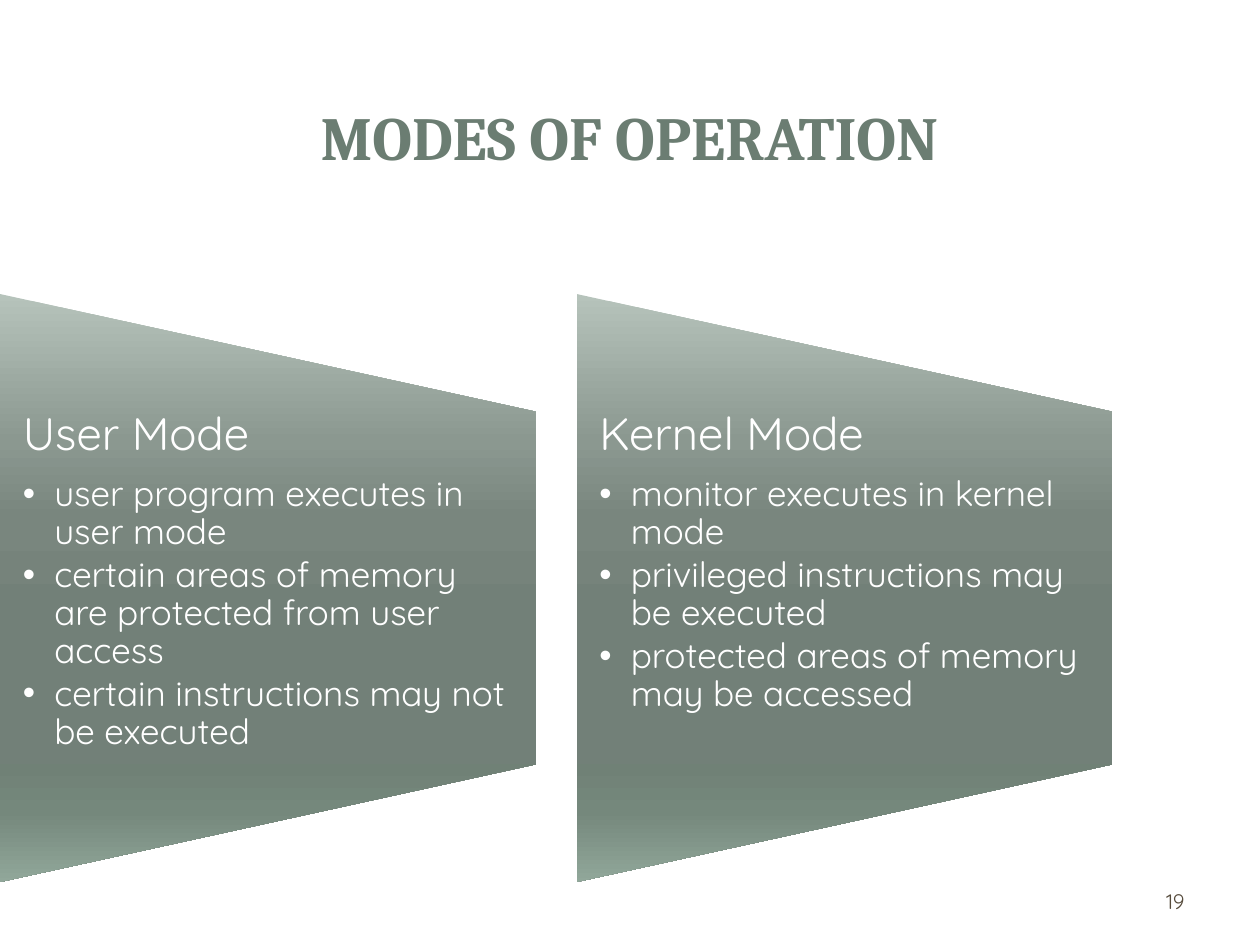
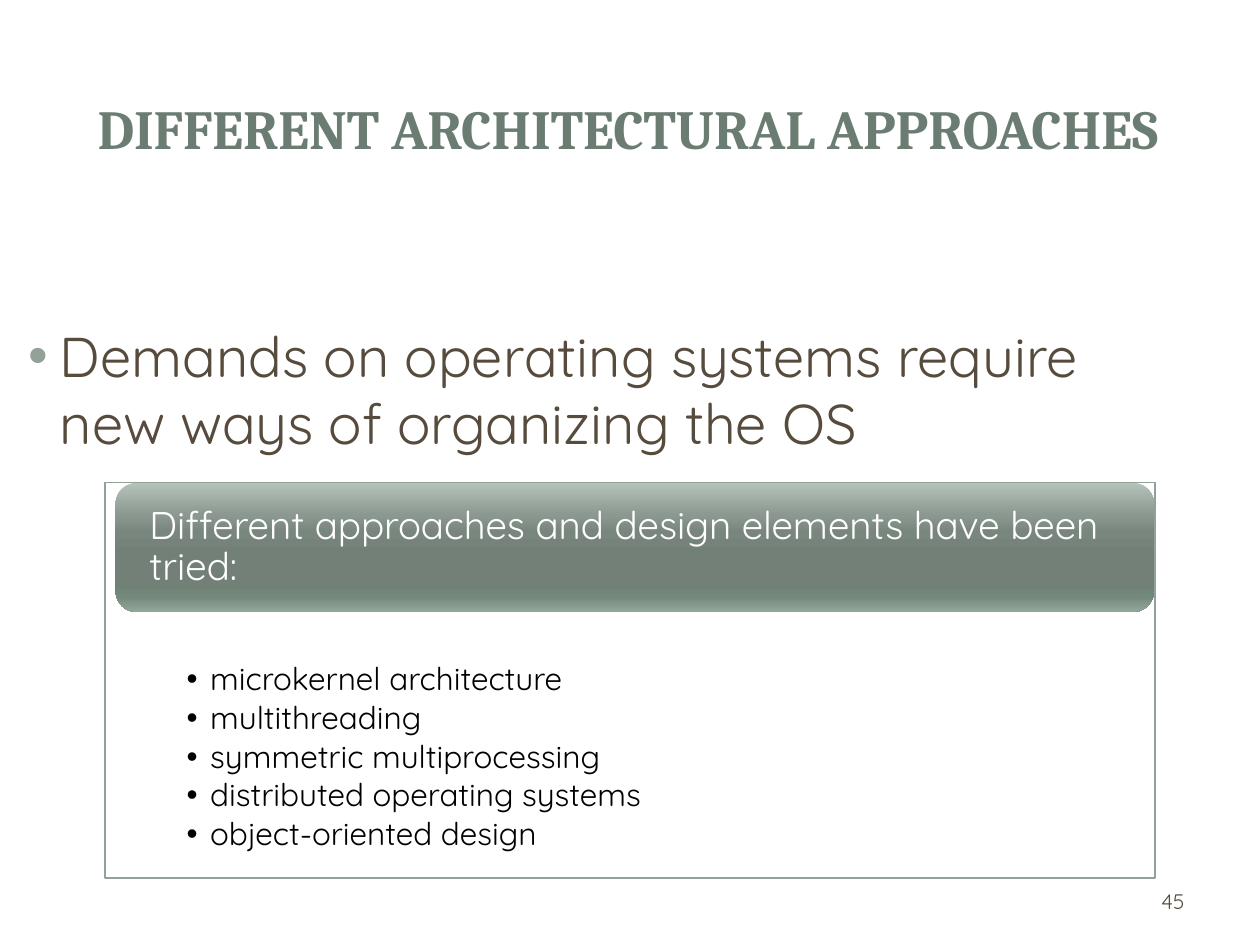
from lxml.etree import SubElement
from pptx import Presentation
from pptx.dml.color import RGBColor
from pptx.enum.shapes import MSO_SHAPE
from pptx.enum.text import MSO_ANCHOR, PP_ALIGN
from pptx.oxml.ns import qn
from pptx.util import Pt

COLORS = {"title": "6B7D72", "body": "564B3C", "accent": "93A299",
          "white": "FFFFFF", "black": "000000"}
GRADIENT = [(0, "B6C3BB"), (25, "8B9890"), (38, "79867E"), (55, "728078"),
            (80, "708176"), (88, "75887C"), (100, "91A79A")]
TITLE_FONT, BODY_FONT = "Cambria", "Quicksand"

PAGE_BOX = (7.2, 7.9, 705.6, 525)
TITLE_BAND_BOX = (21.6, 21.6, 676.8, 104.4)
TITLE_PLATE_BOX = (29.5, 29.5, 660.2, 87.8)
NUMBER_BOX = (516, 500.4, 168, 28.8)

PANEL_TOP, PANEL_WIDTH, PANEL_HEIGHT, PANEL_STEP = 168, 306, 336, 329.5
MODES = {
    "User Mode": ["user program executes in user mode",
                  "certain areas of memory are protected from user access",
                  "certain instructions may not be executed"],
    "Kernel Mode": ["monitor executes in kernel mode",
                    "privileged instructions may be executed",
                    "protected areas of memory may be accessed"],
}
APPROACHES = ["microkernel architecture", "multithreading",
              "symmetric multiprocessing", "distributed operating systems",
              "object-oriented design"]


def color(name):
    return RGBColor.from_string(COLORS[name])


class Deck:
    def __init__(self):
        self.presentation = Presentation()
        self.presentation.slide_width = Pt(720)
        self.presentation.slide_height = Pt(540)
        self.slide = None

    def add_slide(self, title, title_box, title_size, number):
        layout = self.presentation.slide_layouts[6]
        self.slide = self.presentation.slides.add_slide(layout)
        page = self.white_shape(MSO_SHAPE.ROUNDED_RECTANGLE, PAGE_BOX)
        page.adjustments[0] = 0.02
        self.white_shape(MSO_SHAPE.RECTANGLE, TITLE_BAND_BOX, opacity=83)
        self.white_shape(MSO_SHAPE.RECTANGLE, TITLE_PLATE_BOX)

        frame = self.text_frame(title_box, anchor=MSO_ANCHOR.MIDDLE)
        heading = self.paragraph(frame, title, title_size, "title", TITLE_FONT)
        heading.font.bold = True
        heading.alignment = PP_ALIGN.CENTER
        frame = self.text_frame(NUMBER_BOX, anchor=MSO_ANCHOR.MIDDLE)
        self.paragraph(frame, str(number), 12, "body").alignment = PP_ALIGN.RIGHT

    def text_frame(self, box, insets=(7.2, 3.6, 7.2, 3.6), anchor=MSO_ANCHOR.TOP):
        frame = self.slide.shapes.add_textbox(*map(Pt, box)).text_frame
        frame.word_wrap = True
        frame.vertical_anchor = anchor
        (frame.margin_left, frame.margin_top,
         frame.margin_right, frame.margin_bottom) = map(Pt, insets)
        return frame

    def paragraph(self, frame, text, size, color_name, font=BODY_FONT,
                  spacing=None, after=0):
        """Fill the frame's empty first paragraph, or append another one."""
        first = frame.paragraphs[0]
        paragraph = frame.add_paragraph() if first.runs else first
        paragraph.add_run().text = text
        paragraph.font.name = font
        paragraph.font.size = Pt(size)
        paragraph.font.color.rgb = color(color_name)
        paragraph.line_spacing = spacing
        paragraph.space_after = Pt(after)
        return paragraph

    def bullet(self, paragraph, margin, hanging, color_name):
        properties = paragraph._p.get_or_add_pPr()
        properties.set("marL", str(Pt(margin)))
        properties.set("indent", str(-Pt(hanging)))
        bullet_color = SubElement(properties, qn("a:buClr"))
        SubElement(bullet_color, qn("a:srgbClr"), val=COLORS[color_name])
        SubElement(properties, qn("a:buFont"), typeface="Arial")
        SubElement(properties, qn("a:buChar"), char="•")
        # The schema wants the default run properties after the bullet.
        properties.append(properties.find(qn("a:defRPr")))

    def bullets(self, frame, items, size, color_name, indent):
        for item in items:
            paragraph = self.paragraph(frame, item, size, color_name,
                                       spacing=0.9, after=0.15 * size)
            self.bullet(paragraph, indent, indent, color_name)

    def shape(self, kind, box):
        shape = self.slide.shapes.add_shape(kind, *map(Pt, box))
        shape.shadow.inherit = False
        shape.line.fill.background()
        return shape

    def white_shape(self, kind, box, opacity=100):
        shape = self.shape(kind, box)
        shape.fill.solid()
        shape.fill.fore_color.rgb = color("white")
        if opacity < 100:
            fill_color = shape._element.spPr.find(qn("a:solidFill"))[0]
            SubElement(fill_color, qn("a:alpha"), val=str(opacity * 1000))
        return shape

    def gradient_shape(self, kind, box):
        shape = self.shape(kind, box)
        shape.fill.gradient()
        shape.fill.gradient_angle = 270
        gradient = shape._element.spPr.find(qn("a:gradFill"))
        gradient.set("rotWithShape", "0")
        stops = gradient.find(qn("a:gsLst"))
        stops.clear()
        for position, value in GRADIENT:
            stop = SubElement(stops, qn("a:gs"), pos=str(position * 1000))
            SubElement(stop, qn("a:srgbClr"), val=value)
        return shape

    def outlined_box(self, box):
        shape = self.white_shape(MSO_SHAPE.RECTANGLE, box, opacity=90)
        shape.line.color.rgb = color("accent")
        shape.line.width = Pt(0.75)

    def mode_panel(self, left, heading, items):
        """Draw a panel narrowing to the right, with its text in the middle."""
        shift = (PANEL_HEIGHT - PANEL_WIDTH) / 2
        panel = self.gradient_shape(
            MSO_SHAPE.FLOWCHART_MANUAL_OPERATION,
            (left - shift, PANEL_TOP + shift, PANEL_HEIGHT, PANEL_WIDTH))
        panel.rotation = 270
        frame = self.text_frame(
            (left, PANEL_TOP + PANEL_HEIGHT / 5, PANEL_WIDTH, PANEL_HEIGHT * 3 / 5),
            insets=(13, 0, 13, 0))
        self.paragraph(frame, heading, 26, "white", spacing=0.9, after=0.35 * 26)
        self.bullets(frame, items, 20, "white", 18)


def modes_slide(deck):
    deck.add_slide("MODES OF OPERATION", (51.8, 35.6, 616, 84), 35, 19)
    for index, (heading, items) in enumerate(MODES.items()):
        deck.mode_panel(index * PANEL_STEP, heading, items)


def approaches_slide(deck):
    deck.add_slide("DIFFERENT ARCHITECTURAL APPROACHES", (33.8, 32, 650, 82), 31.5, 45)
    frame = deck.text_frame((0, 180, 630, 312))
    demand = deck.paragraph(
        frame, "Demands on operating systems require new ways of organizing the OS",
        32, "body")
    demand.space_before = Pt(6.4)
    deck.bullet(demand, 27, 18, "accent")

    list_box = (60, 275.8, 600, 226)
    deck.outlined_box(list_box)
    frame = deck.text_frame(list_box, insets=(46.6, 108.6, 46.6, 10))
    deck.bullets(frame, APPROACHES, 18, "black", 13.5)

    deck.gradient_shape(MSO_SHAPE.ROUNDED_RECTANGLE, (66, 275.8, 593.6, 74))
    frame = deck.text_frame((69.6, 279.4, 586, 67), insets=(15.8, 0, 15.8, 0),
                            anchor=MSO_ANCHOR.MIDDLE)
    deck.paragraph(frame, "Different approaches and design elements have been tried:",
                   22, "white", spacing=0.9, after=0.35 * 22)


def main():
    deck = Deck()
    modes_slide(deck)
    approaches_slide(deck)
    deck.presentation.save("out.pptx")


if __name__ == "__main__":
    main()
